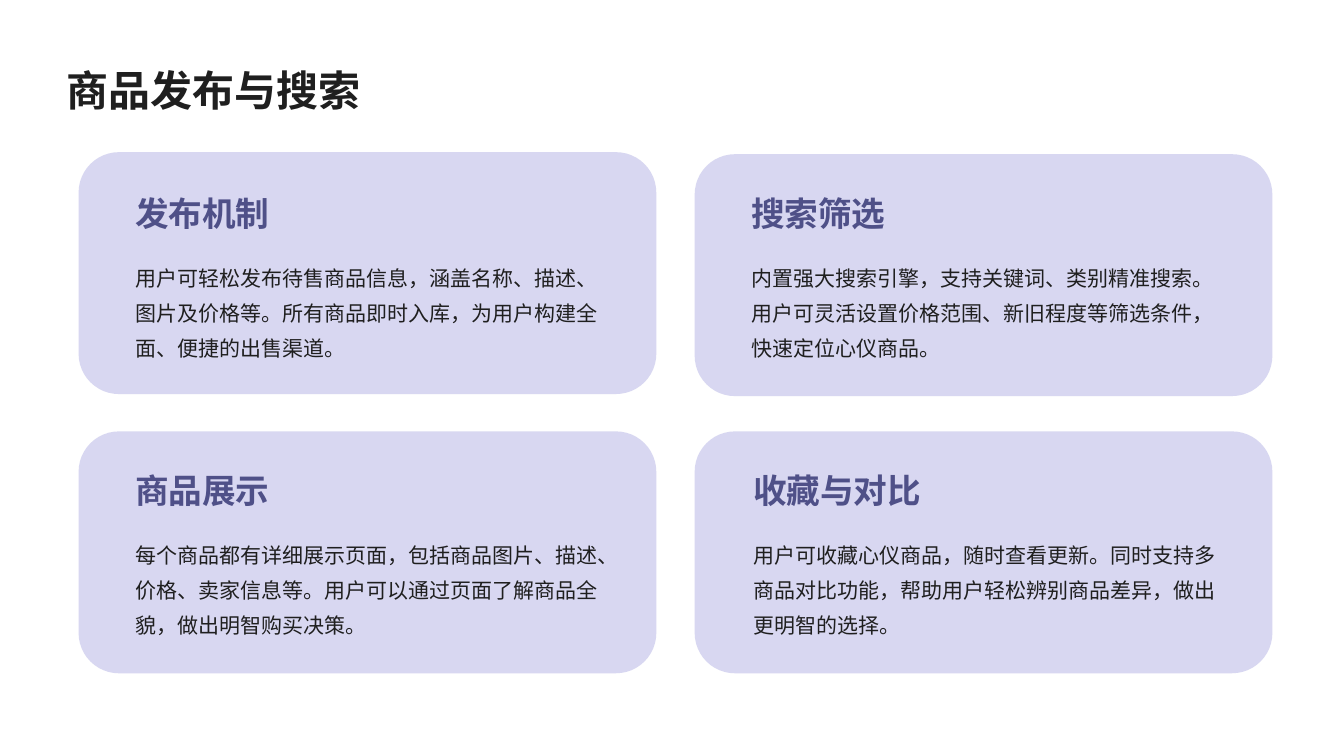
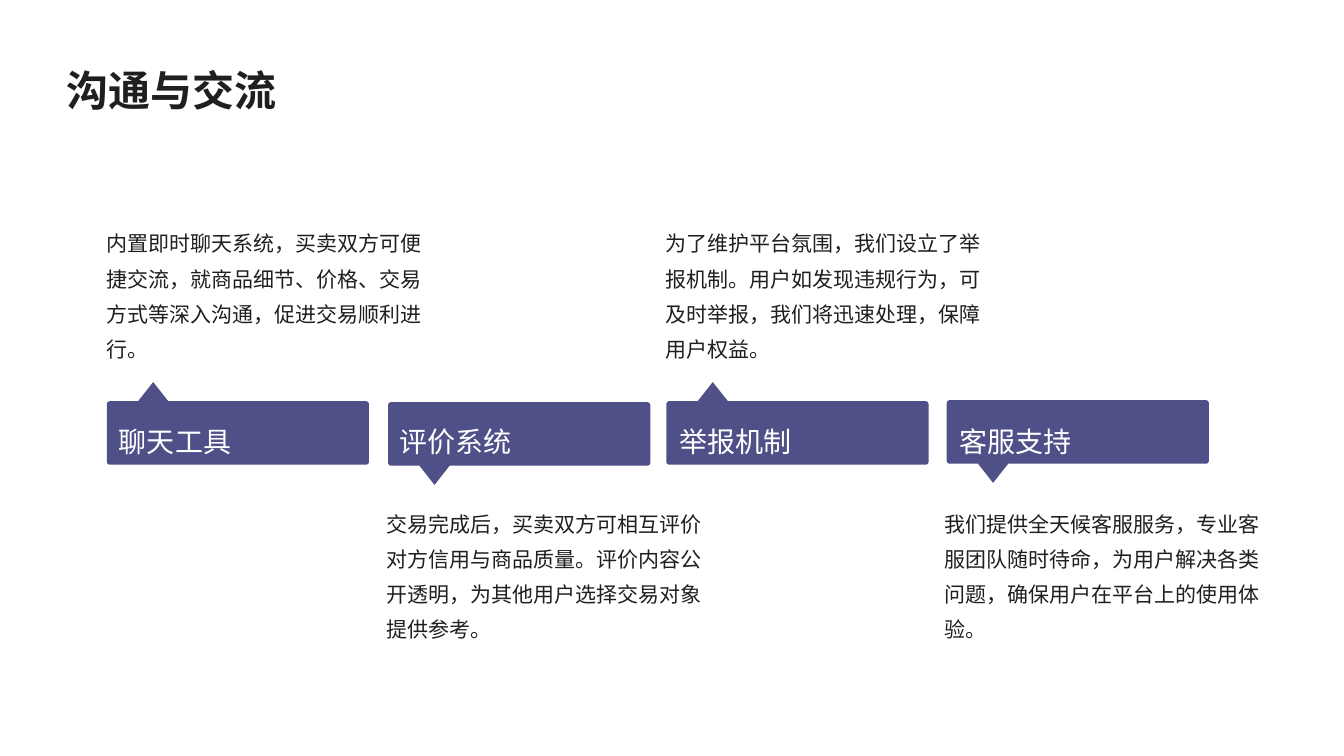
from dataclasses import dataclass
from math import cos, radians, sin

from lxml import etree
from pptx import Presentation
from pptx.dml.color import RGBColor
from pptx.enum.shapes import MSO_SHAPE
from pptx.enum.text import MSO_ANCHOR
from pptx.oxml.ns import qn
from pptx.slide import Slide
from pptx.util import Inches, Pt

ROUNDED = MSO_SHAPE.ROUNDED_RECTANGLE
TOP, MIDDLE, BOTTOM = MSO_ANCHOR.TOP, MSO_ANCHOR.MIDDLE, MSO_ANCHOR.BOTTOM

INK = RGBColor(0x1F, 0x1F, 0x1F)
INDIGO = RGBColor(0x4F, 0x50, 0x88)
LAVENDER = RGBColor(0xCF, 0xCE, 0xEE)
WHITE = RGBColor(0xFF, 0xFF, 0xFF)
FONT = "Noto Sans CJK SC"

# Margins are left, top, right, bottom in inches.
WIDE_MARGINS = (0.14, 0.14, 0.06, 0.14)
SLIM_MARGINS = (0, 0.04, 0.07, 0.04)

CARD_WIDTH, CARD_HEIGHT, CARD_OPACITY = 5.73, 2.4, 80
BODY_DROP = 0.63

FLAG_WIDTH, FLAG_HEIGHT, FLAG_RADIUS = 2.6, 0.63, 0.03
POINTER_CENTER, POINTER_HALF, POINTER_HEIGHT = 0.46, 0.15, 0.19
LABEL_LEFT, LABEL_STEP = 1.18, 2.78
DETAIL_LEFT, DETAIL_STEP = 1.06, 2.77
DETAIL_ABOVE, DETAIL_BELOW = 2.08, 4.93


@dataclass(frozen=True)
class TextStyle:
    size: float
    color: RGBColor
    spacing: float
    anchor: MSO_ANCHOR
    margins: tuple[float, float, float, float]
    bold: bool = False


@dataclass(frozen=True)
class Card:
    left: float
    top: float
    text_left: float
    heading_top: float
    heading: str
    body: str


@dataclass(frozen=True)
class Flag:
    left: float
    top: float
    points_up: bool
    label: str
    detail: str


TITLE = TextStyle(30, INK, 1.4, MIDDLE, WIDE_MARGINS, True)
CARD_HEADING = TextStyle(24, INDIGO, 1.2, BOTTOM, WIDE_MARGINS, True)
CARD_BODY = TextStyle(15, INK, 1.4, TOP, WIDE_MARGINS)
FLAG_LABEL = TextStyle(20, WHITE, 1.5, MIDDLE, SLIM_MARGINS)
DETAIL_UPPER = TextStyle(15, INK, 1.4, BOTTOM, SLIM_MARGINS)
DETAIL_LOWER = TextStyle(15, INK, 1.4, TOP, SLIM_MARGINS)

CARDS = (
    Card(0.78, 1.51, 1.2, 1.76, "发布机制",
         "用户可轻松发布待售商品信息，涵盖名称、描述、图片及价格等。"
         "所有商品即时入库，为用户构建全面、便捷的出售渠道。"),
    Card(6.89, 1.53, 7.31, 1.76, "搜索筛选",
         "内置强大搜索引擎，支持关键词、类别精准搜索。"
         "用户可灵活设置价格范围、新旧程度等筛选条件，快速定位心仪商品。"),
    Card(0.78, 4.28, 1.2, 4.51, "商品展示",
         "每个商品都有详细展示页面，包括商品图片、描述、价格、卖家信息等。"
         "用户可以通过页面了解商品全貌，做出明智购买决策。"),
    Card(6.89, 4.28, 7.33, 4.51, "收藏与对比",
         "用户可收藏心仪商品，随时查看更新。"
         "同时支持多商品对比功能，帮助用户轻松辨别商品差异，做出更明智的选择。"),
)

FLAGS = (
    Flag(1.06, 3.98, True, "聊天工具",
         "内置即时聊天系统，买卖双方可便捷交流，"
         "就商品细节、价格、交易方式等深入沟通，促进交易顺利进行。"),
    Flag(3.85, 3.99, False, "评价系统",
         "交易完成后，买卖双方可相互评价对方信用与商品质量。"
         "评价内容公开透明，为其他用户选择交易对象提供参考。"),
    Flag(6.61, 3.98, True, "举报机制",
         "为了维护平台氛围，我们设立了举报机制。"
         "用户如发现违规行为，可及时举报，我们将迅速处理，保障用户权益。"),
    Flag(9.39, 3.97, False, "客服支持",
         "我们提供全天候客服服务，专业客服团队随时待命，"
         "为用户解决各类问题，确保用户在平台上的使用体验。"),
)


def add_text(slide: Slide, left: float, top: float, width: float, height: float,
             text: str, style: TextStyle) -> None:
    box = slide.shapes.add_textbox(Inches(left), Inches(top), Inches(width), Inches(height))
    frame = box.text_frame
    frame.word_wrap = True
    frame.vertical_anchor = style.anchor
    for side, margin in zip(("left", "top", "right", "bottom"), style.margins):
        setattr(frame, f"margin_{side}", Inches(margin))
    paragraph = frame.paragraphs[0]
    paragraph.line_spacing = style.spacing
    run = paragraph.add_run()
    run.text = text
    formats = {"name": FONT, "size": Pt(style.size), "bold": style.bold}
    for attribute, value in formats.items():
        setattr(run.font, attribute, value)
    run.font.color.rgb = style.color
    east_asian = etree.SubElement(run.font._element, qn("a:ea"))
    east_asian.set("typeface", FONT)


def paint(shape, color: RGBColor) -> None:
    """Give a shape a flat fill without line or shadow."""
    shape.shadow.inherit = False
    shape.fill.solid()
    shape.fill.fore_color.rgb = color
    shape.line.fill.background()


def add_titled_slide(presentation, title: str) -> Slide:
    slide = presentation.slides.add_slide(presentation.slide_layouts[6])
    add_text(slide, 0.52, 0.29, 12.29, 1, title, TITLE)
    return slide


def add_card(slide: Slide, card: Card) -> None:
    panel = slide.shapes.add_shape(ROUNDED, Inches(card.left), Inches(card.top),
                                   Inches(CARD_WIDTH), Inches(CARD_HEIGHT))
    paint(panel, LAVENDER)
    color = panel._element.spPr.find(qn("a:solidFill"))[0]
    etree.SubElement(color, qn("a:alpha")).set("val", str(CARD_OPACITY * 1000))
    add_text(slide, card.text_left, card.heading_top, 4.7, 0.69, card.heading, CARD_HEADING)
    add_text(slide, card.text_left, card.heading_top + BODY_DROP, 4.9, 1.32,
             card.body, CARD_BODY)


def flag_outline() -> list[tuple[float, float]]:
    """Return the outline of an upward flag, measured from its body's top left."""
    points = [(POINTER_CENTER, -POINTER_HEIGHT), (POINTER_CENTER + POINTER_HALF, 0)]
    near, right, bottom = FLAG_RADIUS, FLAG_WIDTH - FLAG_RADIUS, FLAG_HEIGHT - FLAG_RADIUS
    corners = ((right, near, -90), (right, bottom, 0), (near, bottom, 90), (near, near, 180))
    for x, y, start in corners:
        for angle in range(start, start + 91, 15):
            points.append((x + FLAG_RADIUS * cos(radians(angle)),
                           y + FLAG_RADIUS * sin(radians(angle))))
    points.append((POINTER_CENTER - POINTER_HALF, 0))
    return points


def add_flag(slide: Slide, index: int, flag: Flag) -> None:
    points = [(Inches(flag.left + x),
               Inches(flag.top + (y if flag.points_up else FLAG_HEIGHT - y)))
              for x, y in flag_outline()]
    builder = slide.shapes.build_freeform(*points[0])
    builder.add_line_segments(points[1:], close=True)
    paint(builder.convert_to_shape(), INDIGO)
    add_text(slide, LABEL_LEFT + index * LABEL_STEP, 4.07, 2.34, 0.44,
             flag.label, FLAG_LABEL)
    detail_top, style = ((DETAIL_ABOVE, DETAIL_UPPER) if flag.points_up
                         else (DETAIL_BELOW, DETAIL_LOWER))
    add_text(slide, DETAIL_LEFT + index * DETAIL_STEP, detail_top, 3.21, 1.55,
             flag.detail, style)


def main() -> None:
    presentation = Presentation()
    presentation.slide_width = Inches(13.33)
    presentation.slide_height = Inches(7.5)

    publishing = add_titled_slide(presentation, "商品发布与搜索")
    for card in CARDS:
        add_card(publishing, card)

    communication = add_titled_slide(presentation, "沟通与交流")
    for index, flag in enumerate(FLAGS):
        add_flag(communication, index, flag)

    presentation.save("out.pptx")


if __name__ == "__main__":
    main()
